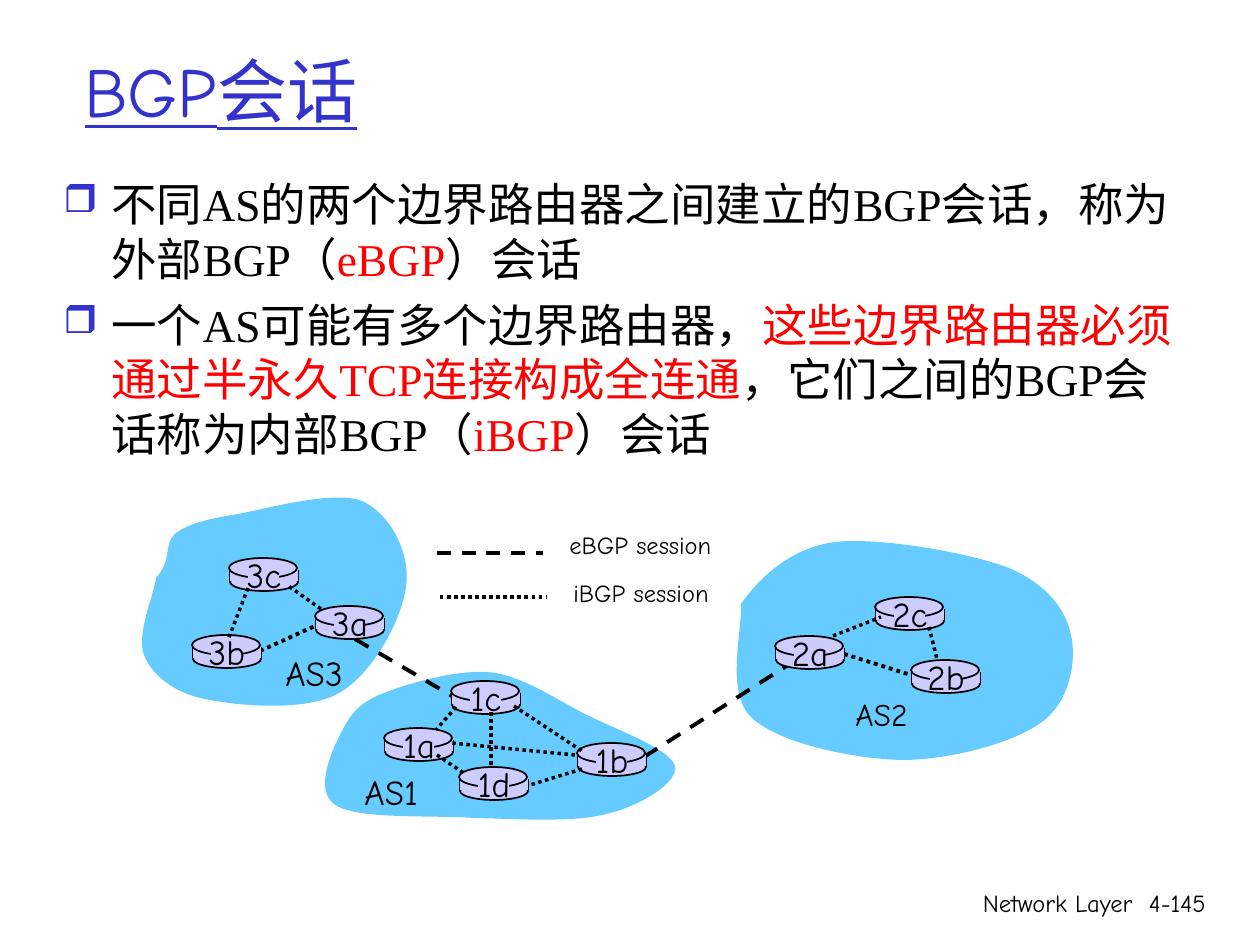
"""Build the slide on eBGP and iBGP sessions between three autonomous systems."""
from dataclasses import dataclass

import pptx
import pptx.util
from lxml import etree
from pptx.dml.color import RGBColor
from pptx.enum.dml import MSO_LINE
from pptx.enum.shapes import MSO_CONNECTOR, MSO_SHAPE
from pptx.enum.text import MSO_ANCHOR, MSO_AUTO_SIZE, PP_ALIGN
from pptx.oxml.ns import qn

SCALE = 914400 / 126


@dataclass(frozen=True)
class Theme:
    ink: str = "000000"
    accent: str = "3333CC"
    highlight: str = "FF0000"
    cloud: str = "66CCFF"
    router: str = "CCCCFF"
    hand: str = "Comic Neue"
    serif: str = "Times New Roman"
    title: int = 40
    body: int = 26
    label: int = 20
    small_label: int = 18
    note: int = 14
    outline: float = 1
    link: float = 2
    wide_link: float = 2.25


THEME = Theme()
EBGP, IBGP = MSO_LINE.DASH, MSO_LINE.ROUND_DOT

TITLE = ("BGP会话", (72, 32, 1071, 116))
BODY_BOX = (51, 170, 1143, 297)
BODY = [
    [("不同AS的两个边界路由器之间建立的BGP会话，称为外部BGP（", THEME.ink),
     ("eBGP", THEME.highlight), ("）会话", THEME.ink)],
    [("一个AS可能有多个边界路由器，", THEME.ink),
     ("这些边界路由器必须通过半永久TCP连接构成全连通", THEME.highlight),
     ("，它们之间的BGP会话称为内部BGP（", THEME.ink),
     ("iBGP", THEME.highlight), ("）会话", THEME.ink)],
]
FOOTER = [("Network Layer", (746, 882, 399, 63)), ("4-145", (1125, 882, 93, 63))]

CLOUDS = [
    [(741, 604), (760, 577), (791, 548), (835, 542), (881, 537), (970, 553), (1009, 568),
     (1048, 585), (1066, 610), (1071, 635), (1077, 660), (1070, 702), (1042, 722),
     (1014, 743), (950, 760), (902, 760), (853, 759), (777, 743), (751, 717),
     (725, 692), (743, 627), (741, 604)],
    [(156, 578), (173, 559), (163, 544), (176, 533), (190, 523), (208, 519), (238, 514),
     (270, 508), (334, 490), (362, 501), (391, 514), (411, 554), (406, 587),
     (402, 619), (373, 674), (339, 693), (306, 712), (238, 706), (205, 699),
     (174, 693), (152, 675), (144, 655), (136, 635), (154, 595), (156, 578)],
    [(349, 719), (362, 699), (383, 693), (407, 685), (431, 678), (466, 669), (495, 673),
     (524, 678), (551, 696), (581, 712), (611, 728), (670, 748), (675, 766),
     (679, 782), (641, 806), (607, 814), (573, 823), (518, 819), (473, 818),
     (427, 815), (354, 820), (334, 804), (312, 788), (336, 740), (349, 719)],
]
ROUTERS = {
    "3b": (192, 635), "1d": (459, 767), "3a": (315, 606), "1c": (451, 681), "2a": (775, 636),
    "1a": (384, 728), "2c": (875, 597), "2b": (911, 660), "1b": (577, 743), "3c": (229, 558),
}
WIDE_LINKS = [
    ((844, 654), (911, 675), IBGP), ((260, 651), (315, 626), IBGP),
    ((355, 639), (452, 696), EBGP), ((644, 757), (788, 665), EBGP),
]
LINKS = [
    ((456, 707), (436, 730), IBGP), ((491, 712), (491, 766), IBGP),
    ((514, 706), (582, 751), IBGP), ((582, 769), (530, 785), IBGP),
    ((575, 755), (451, 743), IBGP), ((833, 636), (881, 617), IBGP),
    ((321, 609), (287, 585), IBGP), ((248, 588), (228, 640), IBGP),
    ((929, 627), (937, 659), IBGP), ((437, 755), (465, 774), IBGP),
    ((437, 553), (543, 553), EBGP), ((440, 597), (546, 597), IBGP),
]
CAPTIONS = [
    ("AS3", (273, 645, 92, 55), THEME.label), ("AS1", (352, 764, 92, 55), THEME.label),
    ("AS2", (843, 689, 92, 50), THEME.small_label),
    ("eBGP session", (557, 524, 176, 43), THEME.note),
    ("iBGP session", (561, 572, 176, 43), THEME.note),
]


def px(value):
    return pptx.util.Emu(round(value * SCALE))


def emu(box):
    return [px(value) for value in box]


def style(font, size, face, color):
    font.size = pptx.util.Pt(size)
    font.name = face
    font.color.rgb = RGBColor.from_string(color)


def add_label(slide, text, box, size, align=PP_ALIGN.LEFT):
    frame = slide.shapes.add_textbox(*emu(box)).text_frame
    frame.word_wrap = True
    frame.auto_size = MSO_AUTO_SIZE.NONE
    frame.text = text
    frame.paragraphs[0].alignment = align
    style(frame.paragraphs[0].runs[0].font, size, THEME.hand, THEME.ink)


def add_line(slide, start, end, width, dash=None):
    line = slide.shapes.add_connector(MSO_CONNECTOR.STRAIGHT, *emu(start + end))
    line.line.color.rgb = RGBColor.from_string(THEME.ink)
    line.line.width = pptx.util.Pt(width)
    if dash is not None:
        line.line.dash_style = dash
    etree.SubElement(line._element.spPr, qn("a:effectLst"))


def paint(shape, fill, outlined=False):
    shape.shadow.inherit = False
    shape.fill.solid()
    shape.fill.fore_color.rgb = RGBColor.from_string(fill)
    if outlined:
        shape.line.color.rgb = RGBColor.from_string(THEME.ink)
        shape.line.width = pptx.util.Pt(THEME.outline)
    else:
        shape.line.fill.background()


def add_cloud(slide, points):
    builder = slide.shapes.build_freeform(*points[0], scale=SCALE)
    builder.add_line_segments(points[1:], close=True)
    cloud = builder.convert_to_shape()
    steps = list(cloud._element.iter(qn("a:lnTo")))
    for first in range(0, len(steps), 3):
        curve = etree.Element(qn("a:cubicBezTo"))
        steps[first].addprevious(curve)
        for step in steps[first:first + 3]:
            curve.append(step[0])
            step.getparent().remove(step)
    paint(cloud, THEME.cloud)


def add_router(slide, name, x, y):
    def part(kind, box, outlined=False):
        paint(slide.shapes.add_shape(kind, *emu(box)), THEME.router, outlined)

    part(MSO_SHAPE.OVAL, (x + 1, y + 15, 68, 18), True)
    for side in (x + 1, x + 69):
        add_line(slide, (side, y + 12), (side, y + 23), THEME.outline)
    part(MSO_SHAPE.RECTANGLE, (x + 1, y + 12, 68, 11))
    part(MSO_SHAPE.OVAL, (x, y, 68, 20), True)
    part(MSO_SHAPE.RECTANGLE, (x + 19, y + 3, 31, 26))
    add_label(slide, name, (x, y - 11, 70, 55), THEME.label, PP_ALIGN.CENTER)


def add_body(slide):
    frame = slide.shapes.add_textbox(*emu(BODY_BOX)).text_frame
    frame.word_wrap = True
    for index, pieces in enumerate(BODY):
        paragraph = frame.add_paragraph() if index else frame.paragraphs[0]
        properties = paragraph._p.get_or_add_pPr()
        properties.set("marL", str(px(48)))
        properties.set("indent", str(px(-48)))
        color = etree.SubElement(properties, qn("a:buClr"))
        etree.SubElement(color, qn("a:srgbClr"), val=THEME.accent)
        etree.SubElement(properties, qn("a:buSzPct"), val="85000")
        etree.SubElement(properties, qn("a:buChar"), char="❒")
        paragraph.space_before = pptx.util.Pt(6.5 if index else 0)
        for text, ink in pieces:
            run = paragraph.add_run()
            run.text = text
            style(run.font, THEME.body, THEME.serif, ink)


def add_title(slide):
    text, box = TITLE
    title = slide.shapes.title
    title.left, title.top, title.width, title.height = emu(box)
    title.text_frame.text = text
    title.text_frame.vertical_anchor = MSO_ANCHOR.MIDDLE
    heading = title.text_frame.paragraphs[0]
    heading.alignment = PP_ALIGN.LEFT
    style(heading.runs[0].font, THEME.title, THEME.hand, THEME.accent)
    heading.runs[0].font.underline = True


def main():
    deck = pptx.Presentation()
    deck.slide_width, deck.slide_height = px(1260), px(945)
    slide = deck.slides.add_slide(deck.slide_layouts[5])
    add_title(slide)
    add_body(slide)
    for text, box in FOOTER:
        add_label(slide, text, box, THEME.note, PP_ALIGN.RIGHT)
    for points in CLOUDS:
        add_cloud(slide, points)
    for start, end, dash in WIDE_LINKS:
        add_line(slide, start, end, THEME.wide_link, dash)
    for name, (x, y) in ROUTERS.items():
        add_router(slide, name, x, y)
    for start, end, dash in LINKS:
        add_line(slide, start, end, THEME.link, dash)
    for text, box, size in CAPTIONS:
        add_label(slide, text, box, size)
    deck.save("out.pptx")


if __name__ == "__main__":
    main()
